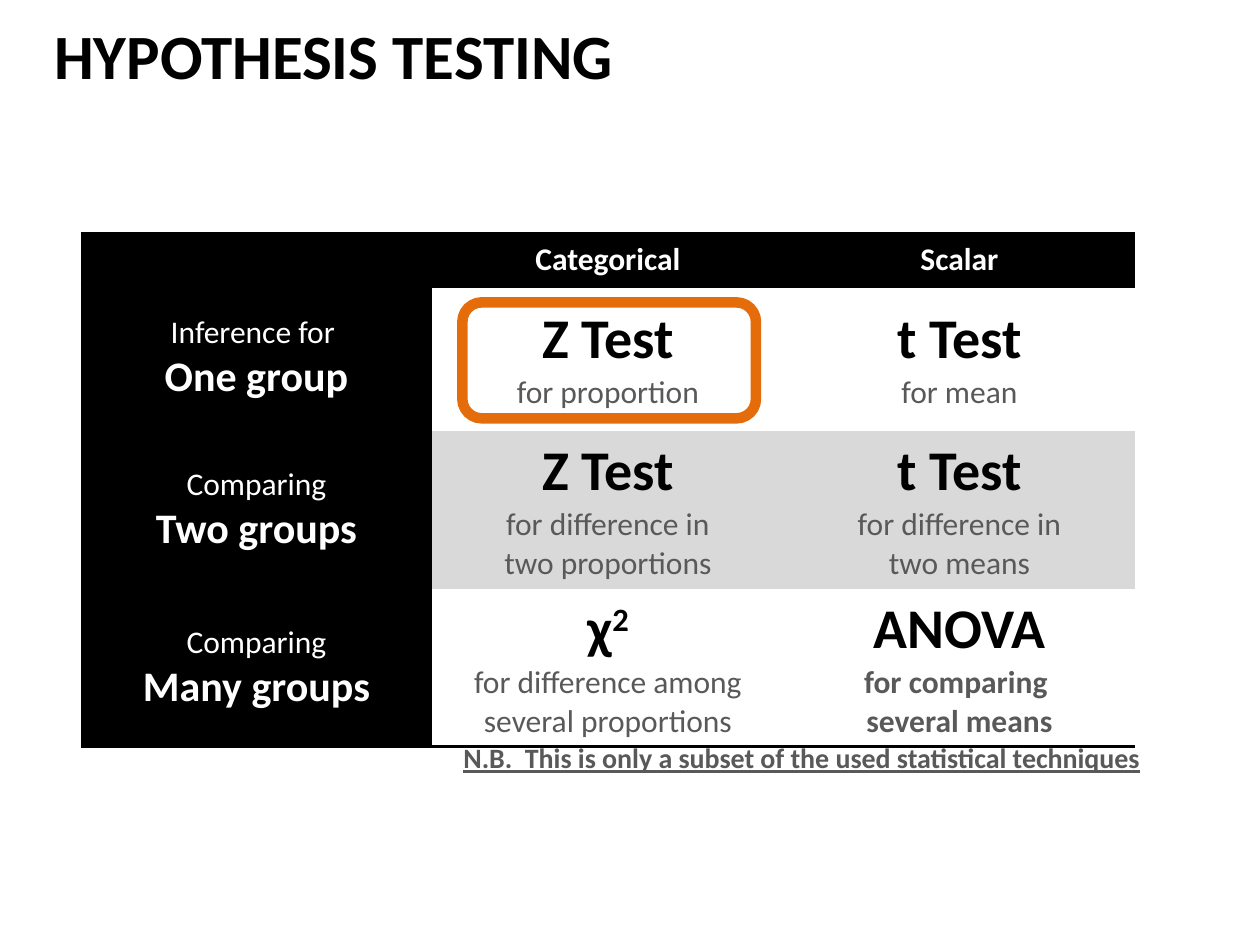
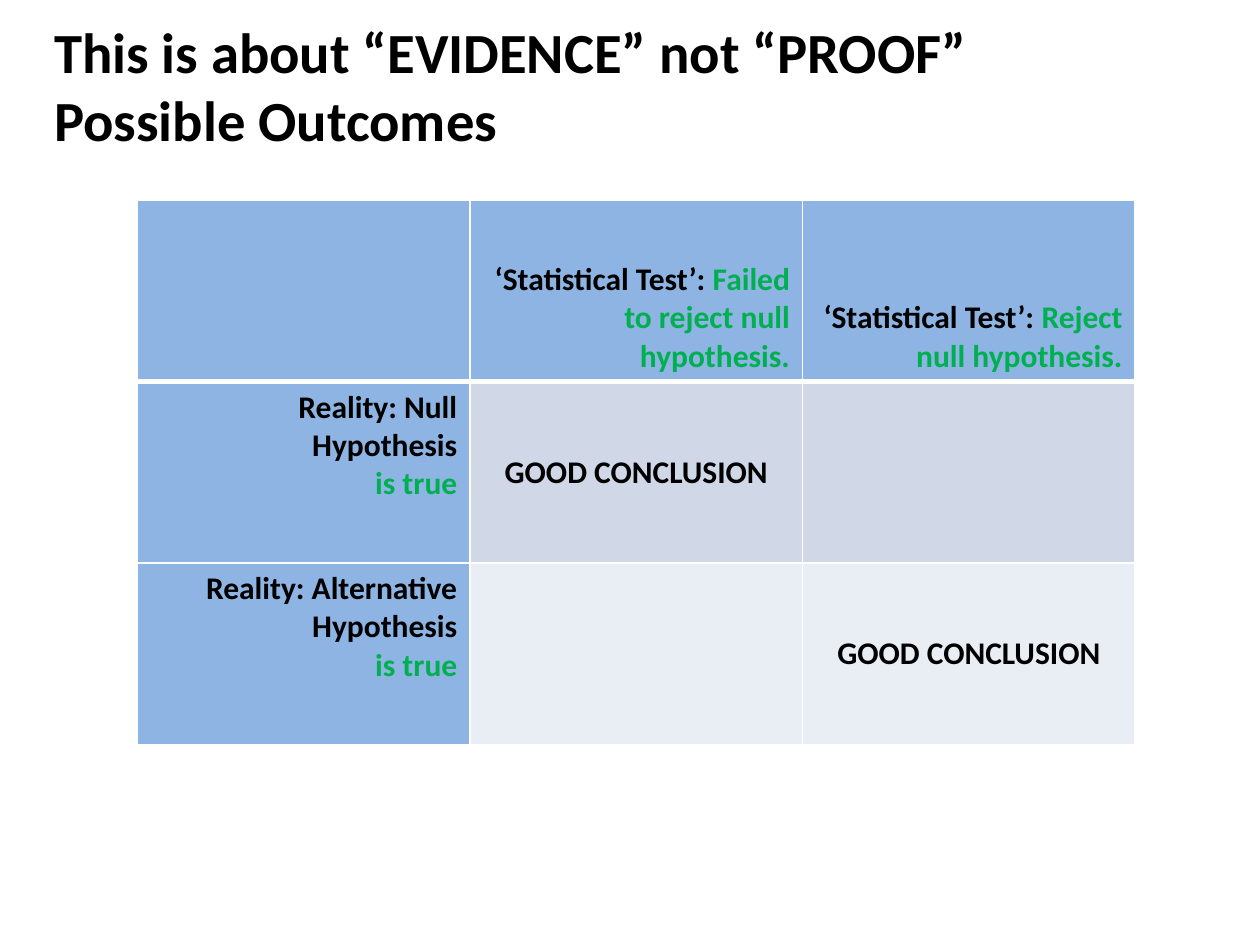
from lxml import etree
from pptx import Presentation
from pptx.dml.color import RGBColor
from pptx.enum import shapes, text
from pptx.oxml import ns
from pptx.util import Inches, Pt

FONT = "Calibri"
BLACK, WHITE, GREY, BAND = "000000", "FFFFFF", "595959", "D9D9D9"
ORANGE, GREEN, BLUE = "E46C0A", "00B050", "8EB4E3"
PALE_ROWS = ["D0D8E8", "E9EDF4"]
NO_STYLE = "{2D5ABB26-0587-4C30-8999-92F81FD0307C}"
LEFT, CENTER, RIGHT = text.PP_ALIGN.LEFT, text.PP_ALIGN.CENTER, text.PP_ALIGN.RIGHT
TOP, MIDDLE, BOTTOM = text.MSO_ANCHOR.TOP, text.MSO_ANCHOR.MIDDLE, text.MSO_ANCHOR.BOTTOM

TESTS_TITLE = ["HYPOTHESIS TESTING"]
TEST_KINDS = ["Categorical", "Scalar"]
TEST_ROWS = [
    ("Inference for ", "One group",
     [("Z Test", ["for proportion"]), ("t Test", ["for mean"])]),
    ("Comparing", "Two groups",
     [("Z Test", ["for difference in", "two proportions"]),
      ("t Test", ["for difference in", "two means"])]),
    ("Comparing", "Many groups",
     [("χ²", ["for difference among several proportions"]),
      ("ANOVA", ["for comparing ", "several means"])]),
]
TESTS_NOTE = "N.B.  This is only a subset of the used statistical techniques"

OUTCOMES_TITLE = ["This is about “EVIDENCE” not “PROOF”", "Possible Outcomes"]
TEST_RESULTS = ["Failed to reject null hypothesis.", "Reject null hypothesis."]
REALITIES = ["Null", "Alternative"]
GOOD = "GOOD CONCLUSION"


def rgb(value):
    return RGBColor.from_string(value)


def add_span(para, words, size=18, color=BLACK, bold=True):
    span = para.add_run()
    span.text = words
    span.font.name = FONT
    span.font.size = Pt(size)
    span.font.bold = bold
    span.font.color.rgb = rgb(color)
    return span


def write(frame, paragraphs, align):
    for index, spans in enumerate(paragraphs):
        para = frame.add_paragraph() if index else frame.paragraphs[0]
        para.alignment = align
        for words, style in spans:
            if words.endswith("²"):
                add_span(para, words[:-1], **style)
                power = add_span(para, "2", **style)
                power.font._element.set("baseline", "30000")
            else:
                add_span(para, words, **style)


def add_page(deck, lines, size):
    page = deck.slides.add_slide(deck.slide_layouts[5])
    title = page.shapes.title
    title.left, title.top = Inches(0.33), Inches(0.08)
    title.width, title.height = Inches(9), Inches(1.25)
    frame = title.text_frame
    frame.word_wrap = True
    frame.auto_size = text.MSO_AUTO_SIZE.NONE
    frame.vertical_anchor = TOP
    para = frame.paragraphs[0]
    para.alignment = LEFT
    for index, line in enumerate(lines):
        if index:
            para.add_line_break()
        add_span(para, line, size)
    return page


def add_grid(page, left, top, column_width, row_heights):
    columns = 3
    table = page.shapes.add_table(
        len(row_heights), columns, Inches(left), Inches(top),
        Inches(column_width * columns), Inches(sum(row_heights))).table
    table._tbl.tblPr.find(ns.qn("a:tableStyleId")).text = NO_STYLE
    table.horz_banding = False
    for column in table.columns:
        column.width = Inches(column_width)
    for row, height in zip(table.rows, row_heights):
        row.height = Inches(height)
    return table


def fill_cell(cell, fill, borders, paragraphs=(), align=CENTER, anchor=MIDDLE):
    properties = cell._tc.get_or_add_tcPr()
    for side in "LRTB":
        if side in borders:
            color, width = borders[side]
            line = etree.SubElement(properties, ns.qn("a:ln" + side), w=str(Pt(width)))
            solid = etree.SubElement(line, ns.qn("a:solidFill"))
            etree.SubElement(solid, ns.qn("a:srgbClr"), val=color)
    cell.fill.solid()
    cell.fill.fore_color.rgb = rgb(fill)
    cell.vertical_anchor = anchor
    write(cell.text_frame, paragraphs, align)


def build_tests(deck):
    page = add_page(deck, TESTS_TITLE, 36)
    table = add_grid(page, 0.64, 1.85, 2.79, [0.42, 1.15, 1.23, 1.23])
    rule = (BLACK, 2)
    for column, kind in enumerate([""] + TEST_KINDS):
        heading = [[(kind, dict(color=WHITE))]] if kind else []
        fill_cell(table.cell(0, column), BLACK, dict(T=rule, B=rule), heading)
    for row, (lead, group, tests) in enumerate(TEST_ROWS, 1):
        borders = dict(B=rule) if row == len(TEST_ROWS) else {}
        fill_cell(table.cell(row, 0), BLACK, borders,
                  [[(lead, dict(color=WHITE, bold=False))],
                   [(group, dict(color=WHITE, size=24))]])
        for column, (name, purpose) in enumerate(tests, 1):
            detail = dict(color=GREY, bold=name == "ANOVA")
            fill_cell(table.cell(row, column), BAND if row == 2 else WHITE, borders,
                      [[(name, dict(size=32))]] + [[(line, detail)] for line in purpose])

    note = page.shapes.add_textbox(Inches(3.58), Inches(5.83), Inches(5.64), Inches(0.37))
    note.text_frame.word_wrap = False
    add_span(note.text_frame.paragraphs[0], TESTS_NOTE, 16, GREY).font.underline = True

    highlight = page.shapes.add_shape(
        shapes.MSO_SHAPE.ROUNDED_RECTANGLE,
        Inches(3.67), Inches(2.4), Inches(2.33), Inches(0.92))
    highlight.shadow.inherit = False
    highlight.fill.background()
    highlight.line.color.rgb = rgb(ORANGE)
    highlight.line.width = Pt(6)


def build_outcomes(deck):
    page = add_page(deck, OUTCOMES_TITLE, 32.4)
    table = add_grid(page, 1.09, 1.59, 2.64, [1.44] * 3)
    thin = dict.fromkeys("LRTB", (WHITE, 1))
    under_header = (WHITE, 3)
    header = {**thin, "B": under_header}
    fill_cell(table.cell(0, 0), BLUE, header)
    for column, result in enumerate(TEST_RESULTS, 1):
        fill_cell(table.cell(0, column), BLUE, header,
                  [[("‘Statistical Test’: ", {}), (result, dict(color=GREEN))]],
                  RIGHT, BOTTOM)
    for row, (reality, pale) in enumerate(zip(REALITIES, PALE_ROWS), 1):
        borders = {**thin, "T": under_header} if row == 1 else thin
        fill_cell(table.cell(row, 0), BLUE, borders,
                  [[("Reality: " + reality, {})], [("Hypothesis", {})],
                   [("is true", dict(color=GREEN))]], RIGHT, TOP)
        for column in (1, 2):
            verdict = [[(GOOD, {})]] if column == row else []
            fill_cell(table.cell(row, column), pale, borders, verdict)


def main():
    deck = Presentation()
    deck.slide_width, deck.slide_height = Inches(10), Inches(7.5)
    build_tests(deck)
    build_outcomes(deck)
    deck.save("out.pptx")


if __name__ == "__main__":
    main()
